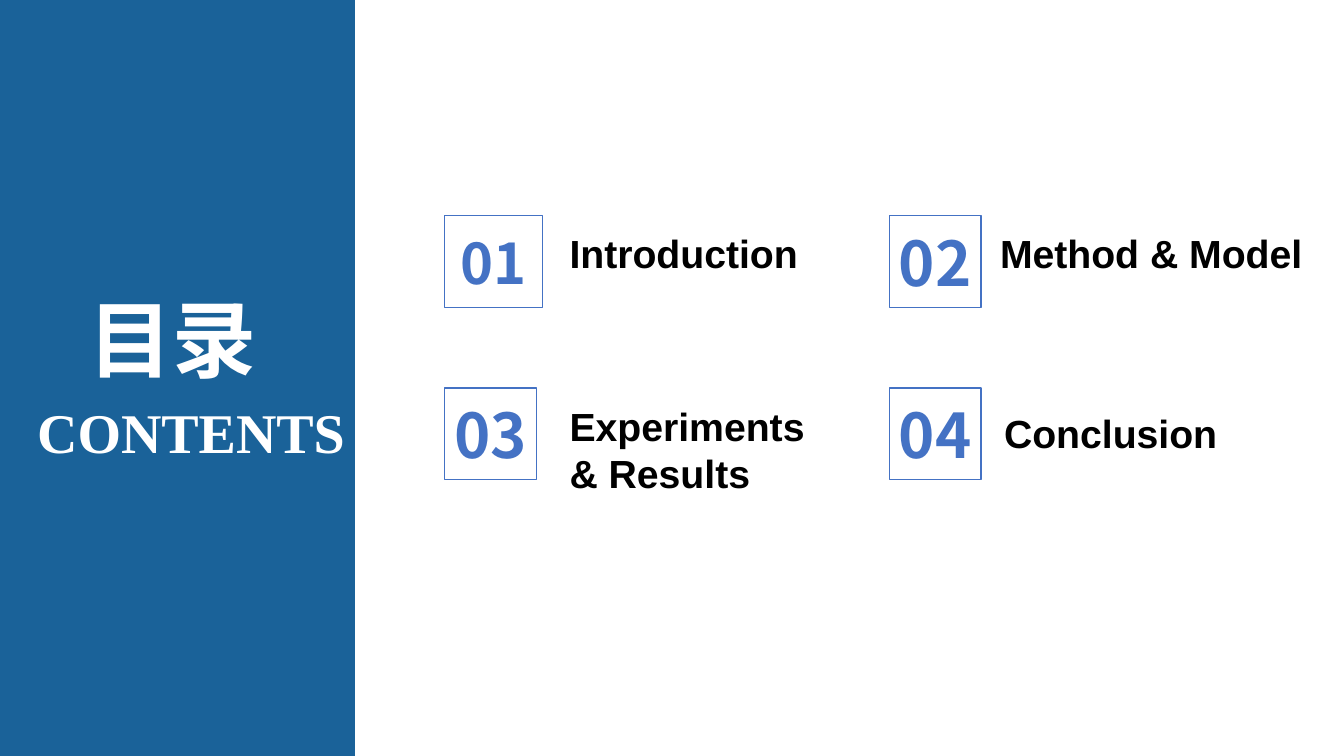
"""Build a contents slide with a blue side panel and four numbered topics."""
import pptx
import pptx.util
import pptx.dml.color
import pptx.enum.shapes
import pptx.enum.text
import lxml.etree

Inches = pptx.util.Inches
Align = pptx.enum.text.PP_ALIGN
RECT = pptx.enum.shapes.MSO_SHAPE.RECTANGLE
PANEL = pptx.dml.color.RGBColor(0x1A, 0x62, 0x99)
BLUE = pptx.dml.color.RGBColor(0x44, 0x72, 0xC4)
WHITE = pptx.dml.color.RGBColor(0xFF, 0xFF, 0xFF)
BLACK = pptx.dml.color.RGBColor(0, 0, 0)
HAN = "Noto Sans CJK SC"
WIDE, HIGH = 13.33, 7.5
SIDE = 3.52
COL, ROW = 4.41, 1.71
TOP, BOX = 2.14, 0.91


def place(item, left, top, width, height):
    item.left, item.top = Inches(left), Inches(top)
    item.width, item.height = Inches(width), Inches(height)


def write(item, text, size, face, color, align):
    frame = item.text_frame
    frame.word_wrap = True
    frame.auto_size = pptx.enum.text.MSO_AUTO_SIZE.NONE
    frame.vertical_anchor = pptx.enum.text.MSO_ANCHOR.TOP
    para = frame.paragraphs[0]
    para.text = text
    para.alignment = align
    font = para.font
    font.size, font.bold, font.name = pptx.util.Pt(size), True, face
    font.color.rgb = color
    if face == HAN:
        for run in para.runs:
            props = run.font
            props.name = face
            latin = run._r.rPr.find(pptx.oxml.ns.qn("a:latin"))
            east = lxml.etree.Element(pptx.oxml.ns.qn("a:ea"), typeface=face)
            latin.addnext(east)


deck = pptx.Presentation()
deck.slide_width, deck.slide_height = Inches(WIDE), Inches(HIGH)
slide = deck.slides.add_slide(deck.slide_layouts[5])
shapes = slide.shapes

panel = shapes.add_shape(RECT, 0, 0, Inches(SIDE), Inches(HIGH))
panel.shadow.inherit = False
panel.fill.solid()
panel.fill.fore_color.rgb = PANEL
panel.line.fill.background()

title = shapes.title
shapes._spTree.append(title._element)
place(title, 0.3, 2.8, 2.34, 1.11)
write(title, "目录", 60, HAN, WHITE, Align.RIGHT)

sub = shapes.add_textbox(0, 0, 0, 0)
place(sub, 0, 3.89, SIDE, 0.77)
write(sub, "CONTENTS", 40, "Times New Roman", WHITE, Align.RIGHT)

topics = [
    ("Introduction", 40, 0.97, 1.14, 0.09, 2.79),
    ("Method & Model", 44, BOX, 1, 0.09, 3.23),
    ("Experiments & Results", 44, BOX, 1.14, 0.09, 2.62),
    ("Conclusion", 44, BOX, 1.04, 0.16, 2.62),
]
for spot, (name, size, wide, shift, drop, span) in enumerate(topics):
    row, col = divmod(spot, 2)
    left, top = COL * (col + 1), TOP + ROW * row

    frame = shapes.add_shape(RECT, 0, 0, 0, 0)
    place(frame, left, top, wide, BOX)
    frame.shadow.inherit = False
    frame.fill.background()
    frame.line.color.rgb = BLUE
    frame.line.width = pptx.util.Pt(1)

    tall = size * 0.019
    digits = shapes.add_textbox(0, 0, 0, 0)
    place(digits, left + (wide - 0.98) / 2, top + (BOX - tall) / 2, 0.98, tall)
    write(digits, f"{spot + 1:02}", size, HAN, BLUE, Align.CENTER)

    label = shapes.add_textbox(0, 0, 0, 0)
    place(label, left + shift, top + drop, span, 1.04 if row else 0.57)
    write(label, name, 28, "Arial", BLACK, Align.LEFT)

deck.save("out.pptx")
